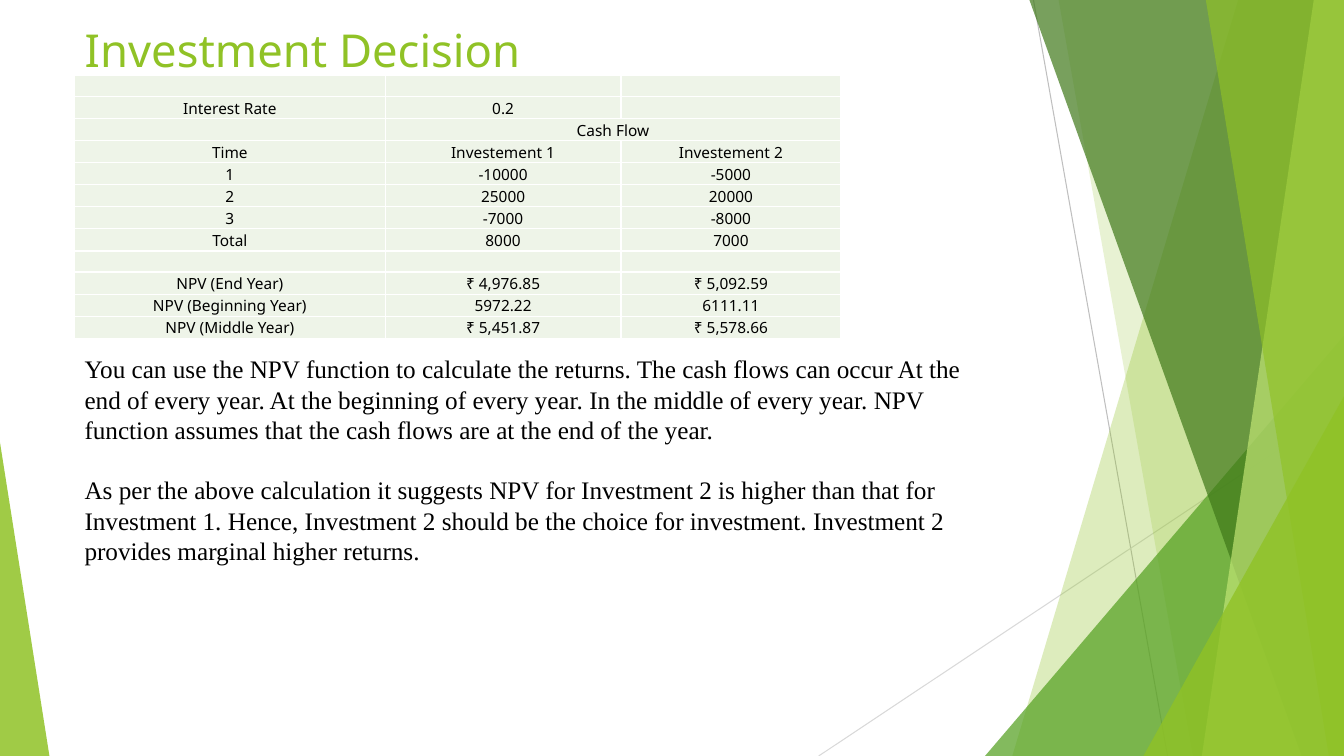
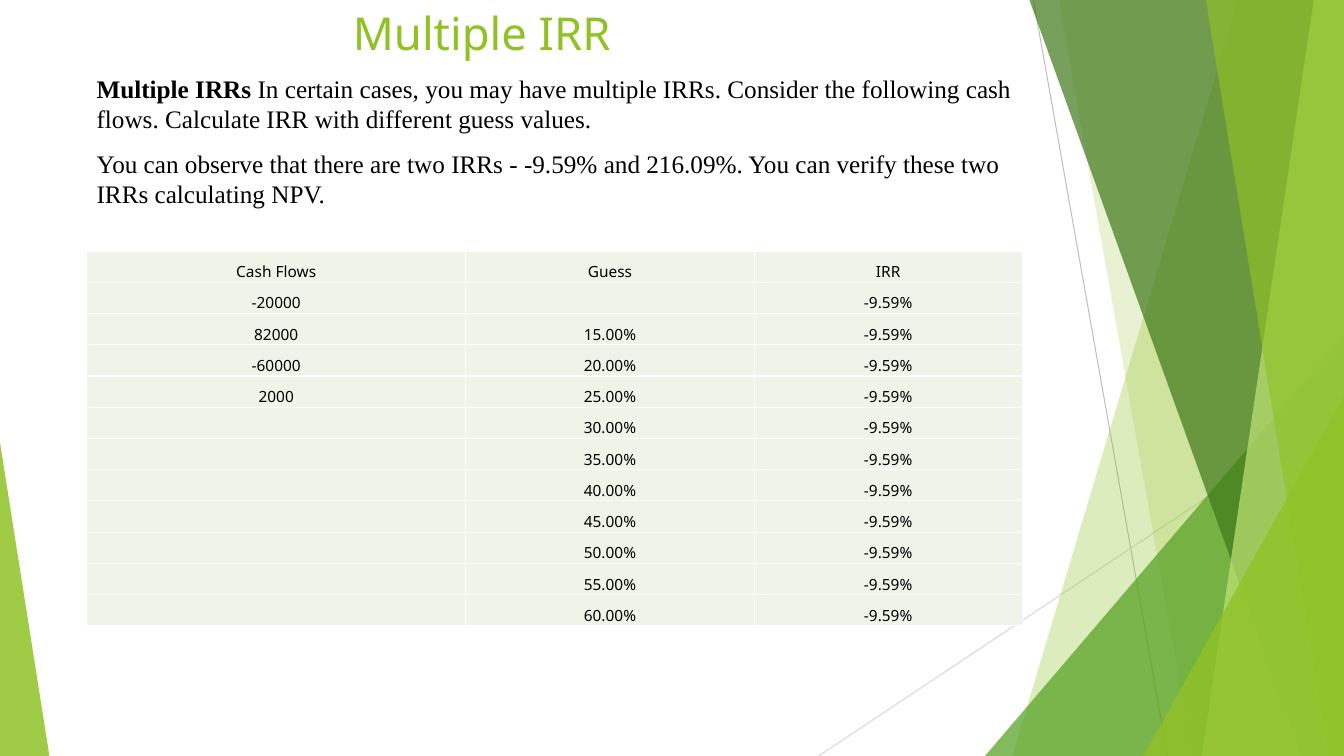
"""Build two slides on NPV and multiple IRR."""
import lxml.etree
import pptx
import pptx.dml.color
import pptx.enum.shapes
import pptx.enum.text
import pptx.oxml
import pptx.oxml.ns
import pptx.util

Inches = pptx.util.Inches
Pt = pptx.util.Pt
RGBColor = pptx.dml.color.RGBColor
qn = pptx.oxml.ns.qn
MSO_SHAPE = pptx.enum.shapes.MSO_SHAPE
MSO_CONNECTOR = pptx.enum.shapes.MSO_CONNECTOR
MSO_ANCHOR = pptx.enum.text.MSO_ANCHOR
MSO_AUTO_SIZE = pptx.enum.text.MSO_AUTO_SIZE
PP_ALIGN = pptx.enum.text.PP_ALIGN

LIME = RGBColor(0x90, 0xC2, 0x26)
GREEN = RGBColor(0x54, 0xA0, 0x21)
FOREST = RGBColor(0x3F, 0x78, 0x19)
PALE_LIME = RGBColor(0xC0, 0xE4, 0x74)
CELL = RGBColor(0xEE, 0xF4, 0xE8)
GRAY = RGBColor(0xBF, 0xBF, 0xBF)
LIGHT_GRAY = RGBColor(0xD9, 0xD9, 0xD9)
BLACK = RGBColor(0, 0, 0)
WHITE = RGBColor(0xFF, 0xFF, 0xFF)

SANS = "Noto Sans"
SERIF = "Times New Roman"
WIDTH, HEIGHT = 13.33, 7.5


def add_text(p, text, font=SANS, size=11, color=BLACK, bold=False, align=PP_ALIGN.LEFT):
    p.alignment = align
    r = p.add_run()
    r.text = text
    r.font.name = font
    r.font.size = Pt(size)
    r.font.color.rgb = color
    r.font.bold = bold


class Deck:
    def __init__(self):
        self.prs = pptx.Presentation()
        self.prs.slide_width = Inches(WIDTH)
        self.prs.slide_height = Inches(HEIGHT)
        self.s = None

    def slide(self, title, top, height, margin=0.1):
        self.s = self.prs.slides.add_slide(self.prs.slide_layouts[5])
        self.facets()
        sp = self.s.shapes.title
        sp.left, sp.top = Inches(0.74), Inches(top)
        sp.width, sp.height = Inches(9.4), Inches(height)
        tf = sp.text_frame
        tf.auto_size = MSO_AUTO_SIZE.NONE
        tf.vertical_anchor = MSO_ANCHOR.TOP
        tf.margin_left = Inches(margin)
        add_text(tf.paragraphs[0], title, size=32.4, color=LIME)

    def facets(self):
        self.line(10.25, 0, 11.58, HEIGHT, GRAY)
        self.line(WIDTH, 4.03, 8.12, HEIGHT, LIGHT_GRAY)
        self.band(12.28, 10.04, LIME, 30)
        self.band(10.5, 11.83, LIME, 20)
        self.triangle(9.77, 3.33, 3.56, 1, GREEN, 72)
        self.band(10.21, 12.91, FOREST, 70)
        self.band(13.03, 11.92, PALE_LIME, 70)
        self.band(11.96, 13.18, LIME, 65)
        self.triangle(11.34, 3.93, 1.99, 1, LIME, 80)
        self.triangle(0, 4.39, 0.49, 0, LIME, 85)

    def line(self, x1, y1, x2, y2, color):
        c = self.s.shapes.add_connector(
            MSO_CONNECTOR.STRAIGHT, Inches(x1), Inches(y1), Inches(x2), Inches(y2))
        c.line.color.rgb = color
        c.line.width = Pt(0.75)
        lxml.etree.SubElement(c._element.spPr, qn("a:effectLst"))

    def paint(self, sp, color, opacity):
        sp.shadow.inherit = False
        sp.line.fill.background()
        sp.fill.solid()
        sp.fill.fore_color.rgb = color
        clr = sp._element.spPr.find(qn("a:solidFill"))[0]
        lxml.etree.SubElement(clr, qn("a:alpha"), val=str(opacity * 1000))

    def band(self, top_x, bottom_x, color, opacity):
        right, bottom = Inches(WIDTH), Inches(HEIGHT)
        fb = self.s.shapes.build_freeform(Inches(top_x), 0)
        fb.add_line_segments([(right, 0), (right, bottom), (Inches(bottom_x), bottom)])
        self.paint(fb.convert_to_shape(), color, opacity)

    def triangle(self, x, y, width, apex, color, opacity):
        sp = self.s.shapes.add_shape(
            MSO_SHAPE.ISOSCELES_TRIANGLE, Inches(x), Inches(y),
            Inches(width), Inches(HEIGHT - y))
        sp.adjustments[0] = apex
        self.paint(sp, color, opacity)

    def body(self, x, y, width, height, paragraphs, gap):
        sp = self.s.shapes.add_textbox(Inches(x), Inches(y), Inches(width), Inches(height))
        tf = sp.text_frame
        tf.word_wrap = True
        for i, runs in enumerate(paragraphs):
            p = tf.add_paragraph() if i else tf.paragraphs[0]
            if i:
                p.space_before = Pt(gap)
            for text, bold in runs:
                add_text(p, text, font=SERIF, size=18, bold=bold)

    def table(self, x, y, widths, row_height, rows):
        tbl = self.s.shapes.add_table(
            len(rows), len(widths), Inches(x), Inches(y),
            Inches(sum(widths)), Inches(row_height * len(rows))).table
        tbl.first_row = tbl.horz_banding = False
        for col, width in zip(tbl.columns, widths):
            col.width = Inches(width)
        for i, row in enumerate(rows):
            tbl.rows[i].height = Inches(row_height)
            for j, text in enumerate(row):
                self.cell(tbl.cell(i, j), text)
        return tbl

    def cell(self, cell, text):
        cell.margin_left = cell.margin_right = cell.margin_top = Inches(0.01)
        cell.margin_bottom = 0
        cell.vertical_anchor = MSO_ANCHOR.BOTTOM
        cell.fill.solid()
        cell.fill.fore_color.rgb = CELL
        p = cell.text_frame.paragraphs[0]
        if text:
            add_text(p, text, align=PP_ALIGN.CENTER)
        else:
            p._p.get_or_add_endParaRPr().set("sz", "1000")
        tcPr = cell._tc.get_or_add_tcPr()
        for i, side in enumerate(("lnL", "lnR", "lnT", "lnB")):
            ln = lxml.etree.Element(qn("a:" + side), w=str(Pt(1)))
            fill = lxml.etree.SubElement(ln, qn("a:solidFill"))
            lxml.etree.SubElement(fill, qn("a:srgbClr"), val=str(WHITE))
            tcPr.insert(i, ln)


def investment_slide(deck):
    deck.slide("Investment Decision", 0.17, 0.58)
    tbl = deck.table(0.74, 0.75, (3.08, 2.34, 2.18), 0.21, [
        ("", "", ""),
        ("Interest Rate", "0.2", ""),
        ("", "Cash Flow", ""),
        ("Time", "Investement 1", "Investement 2"),
        ("1", "-10000", "-5000"),
        ("2", "25000", "20000"),
        ("3", "-7000", "-8000"),
        ("Total", "8000", "7000"),
        ("", "", ""),
        ("NPV (End Year)", "₹ 4,976.85", "₹ 5,092.59"),
        ("NPV (Beginning Year)", "5972.22", "6111.11"),
        ("NPV (Middle Year)", "₹ 5,451.87", "₹ 5,578.66"),
    ])
    tbl.cell(2, 1).merge(tbl.cell(2, 2))
    deck.body(0.74, 3.46, 9.24, 2.52, [
        [("You can use the NPV function to calculate the returns. The cash flows can "
          "occur At the end of every year. At the beginning of every year. In the middle "
          "of every year. NPV function assumes that the cash flows are at the end of the "
          "year.", False)],
        [("As per the above calculation it suggests NPV for Investment 2 is higher than "
          "that for Investment 1. Hence, Investment 2 should be the choice for "
          "investment. Investment 2 provides marginal higher returns.", False)],
    ], gap=21.6)


def irr_slide(deck):
    deck.slide("Multiple IRR", 0, 0.66, margin=2.76)
    deck.body(0.86, 0.68, 9.4, 1.52, [
        [("Multiple IRRs ", True),
         ("In certain cases, you may have multiple IRRs. Consider the following cash "
          "flows. Calculate IRR with different guess values.", False)],
        [("You can observe that there are two IRRs - -9.59% and 216.09%. You can verify "
          "these two IRRs calculating NPV.", False)],
    ], gap=10)
    flows = ["-20000", "82000", "-60000", "2000"] + [""] * 7
    guesses = [""] + [f"{n}.00%" for n in range(15, 65, 5)]
    rows = [("Cash Flows", "Guess", "IRR")]
    rows += [(flow, guess, "-9.59%") for flow, guess in zip(flows, guesses)]
    deck.table(0.86, 2.49, (3.76, 2.86, 2.66), 0.31, rows)


def main():
    deck = Deck()
    investment_slide(deck)
    irr_slide(deck)
    deck.prs.save("out.pptx")


if __name__ == "__main__":
    main()
